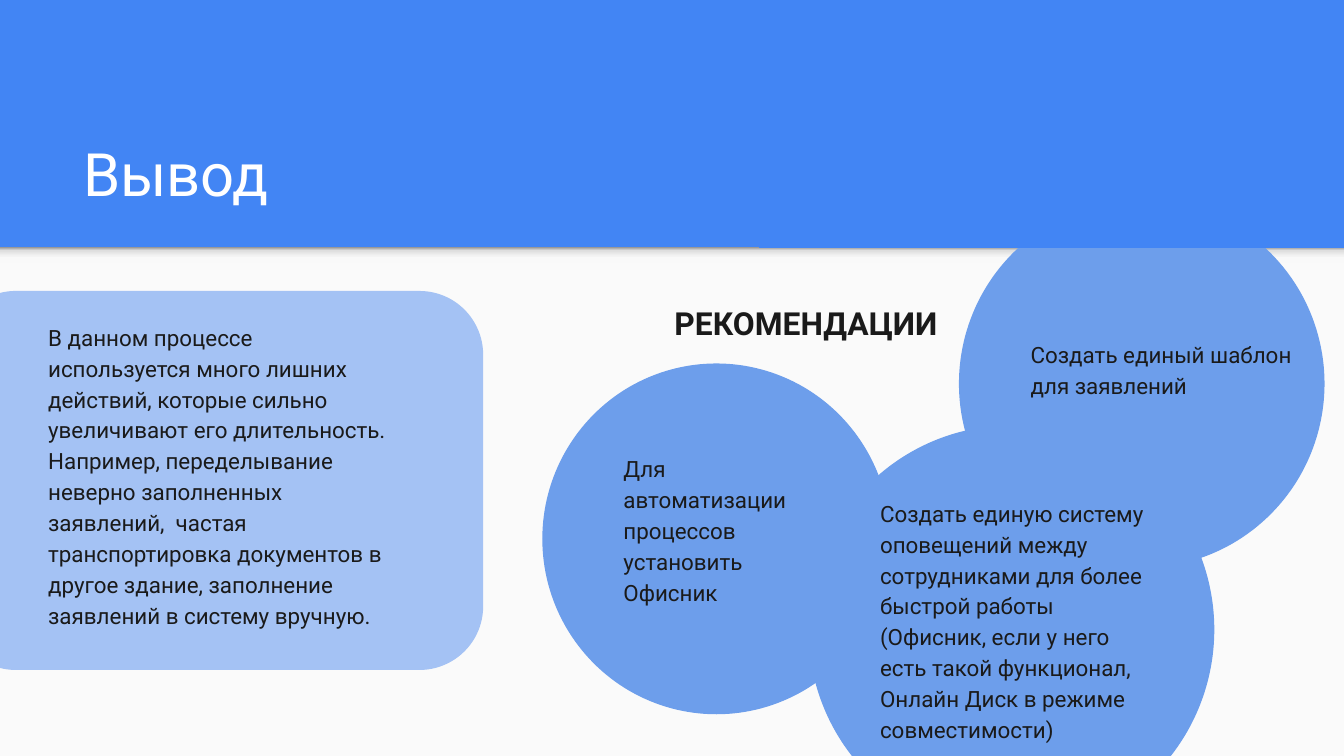
import copy
import dataclasses

import pptx
import pptx.dml.color
import pptx.enum.shapes
import pptx.enum.text
import pptx.oxml.ns
import pptx.util

SHAPE = pptx.enum.shapes.MSO_SHAPE
ANCHOR = pptx.enum.text.MSO_ANCHOR


@dataclasses.dataclass(frozen=True)
class Theme:
    """Colours, font, type sizes and spacing of the deck."""

    header: str = "4285F4"
    paper: str = "FAFAFA"
    card: str = "A4C2F4"
    circle: str = "6D9EEB"
    ink: str = "1A1A1A"
    white: str = "FFFFFF"
    shade: tuple = ((0, "F9F9F9"), (0.36, "F9F9F9"), (0.8, "DEDEDE"), (1, "999999"))
    font: str = "Roboto"
    title_size: int = 32
    heading_size: int = 17
    body_size: int = 12
    line_spacing: float = 1.15
    inset: float = 0.1


class SlideBuilder:
    """Draws styled elements on a square grid of 100 columns across the slide."""

    def __init__(self, deck, theme):
        self.theme = theme
        self.cell = deck.slide_width / 100
        self.page = deck.slides.add_slide(deck.slide_layouts[6])

    def colour(self, value):
        """Turn a hex value into a colour."""
        return pptx.dml.color.RGBColor.from_string(value)

    def place(self, *cells):
        """Turn grid cells into slide lengths."""
        return [round(count * self.cell) for count in cells]

    def background(self, colour):
        """Fill the slide background."""
        fill = self.page.background.fill
        fill.solid()
        fill.fore_color.rgb = self.colour(colour)

    def shape(self, kind, cells, colour):
        """Add a preset shape in one flat colour."""
        shape = self.page.shapes.add_shape(kind, *self.place(*cells))
        shape.shadow.inherit = False
        shape.fill.solid()
        shape.fill.fore_color.rgb = self.colour(colour)
        shape.line.fill.background()
        return shape

    def outlined(self, kind, cells, colour):
        """Add a preset shape with a thin line of its own colour."""
        shape = self.shape(kind, cells, colour)
        shape.line.color.rgb = self.colour(colour)
        shape.line.width = pptx.util.Pt(0.75)
        return shape

    def shade(self, cells):
        """Add a strip that fades downwards like a shadow."""
        strip = self.shape(SHAPE.RECTANGLE, cells, self.theme.paper)
        strip.fill.gradient()
        strip.fill.gradient_angle = 90
        stops = next(strip.element.iter(pptx.oxml.ns.qn("a:gsLst")))
        while len(stops) < len(self.theme.shade):
            stops.append(copy.deepcopy(stops[0]))
        for stop, (position, colour) in zip(strip.fill.gradient_stops, self.theme.shade):
            stop.position = position
            stop.color.rgb = self.colour(colour)

    def text(self, cells, words, size, colour, bold=False, spacing=1.0,
             indent=0, anchor=ANCHOR.TOP):
        """Add a wrapped text box with one paragraph."""
        box = self.page.shapes.add_textbox(*self.place(*cells))
        frame = box.text_frame
        frame.word_wrap = True
        frame.vertical_anchor = anchor
        inset = pptx.util.Inches(self.theme.inset)
        frame.margin_left = frame.margin_right = inset
        frame.margin_top = frame.margin_bottom = inset
        frame.text = words
        para = frame.paragraphs[0]
        para.line_spacing = spacing
        if indent:
            para._p.get_or_add_pPr().set("marL", str(self.place(indent)[0]))
        span = para.runs[0]
        span.font.name = self.theme.font
        span.font.size = pptx.util.Pt(size)
        span.font.bold = bold
        span.font.color.rgb = self.colour(colour)

    def body(self, cells, words, indent=0):
        """Add running text."""
        self.text(cells, words, self.theme.body_size, self.theme.ink,
                  spacing=self.theme.line_spacing, indent=indent)


CIRCLES = [
    (40.4, 27.1, 25.8, 26),
    (71.4, 14.9, 27.1, 27.3),
    (60.2, 31.7, 30.1, 30.3),
]
RECOMMENDATIONS = [
    ((40.4, 32.6, 20.1, 13.3), "Для автоматизации процессов установить Офисник"),
    ((59.5, 35.9, 26.7, 20.3),
     "Создать единую систему оповещений между сотрудниками для более быстрой "
     "работы (Офисник, если у него есть такой функционал, Онлайн Диск в режиме "
     "совместимости)"),
    ((70.7, 24.1, 29.3, 6.4), "Создать единый шаблон для заявлений"),
]
CONCLUSION = (
    "В данном процессе используется много лишних действий, которые сильно "
    "увеличивают его длительность. Например, переделывание неверно заполненных "
    "заявлений,  частая транспортировка документов в другое здание, заполнение "
    "заявлений в систему вручную."
)


def main():
    """Build and save the deck."""
    theme = Theme()
    deck = pptx.Presentation()
    deck.slide_width = pptx.util.Inches(10)
    deck.slide_height = deck.slide_width * 9 // 16
    slide = SlideBuilder(deck, theme)

    slide.background(theme.header)
    slide.shape(SHAPE.RECTANGLE, (0, 18.4, 100, 37.85), theme.paper)
    slide.shade((0, 18.4, 100, 1.2))
    slide.outlined(SHAPE.ROUNDED_RECTANGLE, (-3.5, 21.7, 39.4, 28.1), theme.card)
    slide.text((5.2, 8.1, 89.9, 8.4), "Вывод", theme.title_size, theme.white,
               anchor=ANCHOR.BOTTOM)
    slide.text((49.2, 21.2, 42.7, 5.2), "РЕКОМЕНДАЦИИ", theme.heading_size,
               theme.ink, bold=True, spacing=theme.line_spacing)
    slide.body((2.6, 22.8, 27.8, 24.9), CONCLUSION)
    for cells in CIRCLES:
        slide.outlined(SHAPE.OVAL, cells, theme.circle)
    for cells, words in RECOMMENDATIONS:
        slide.body(cells, words, indent=5)
    slide.outlined(SHAPE.RECTANGLE, (56.5, 10, 43.5, 8.4), theme.header)

    deck.save("out.pptx")


if __name__ == "__main__":
    main()
